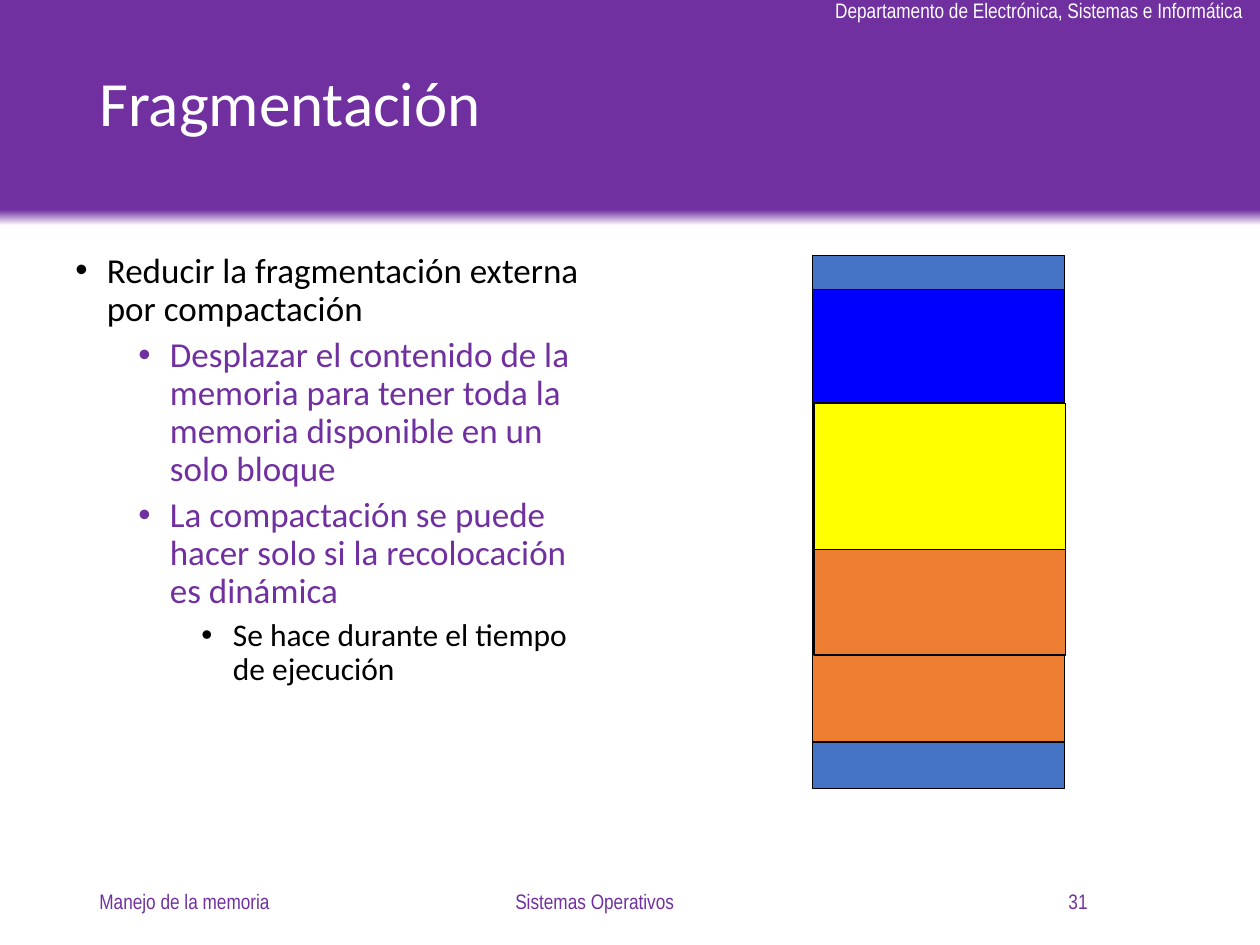
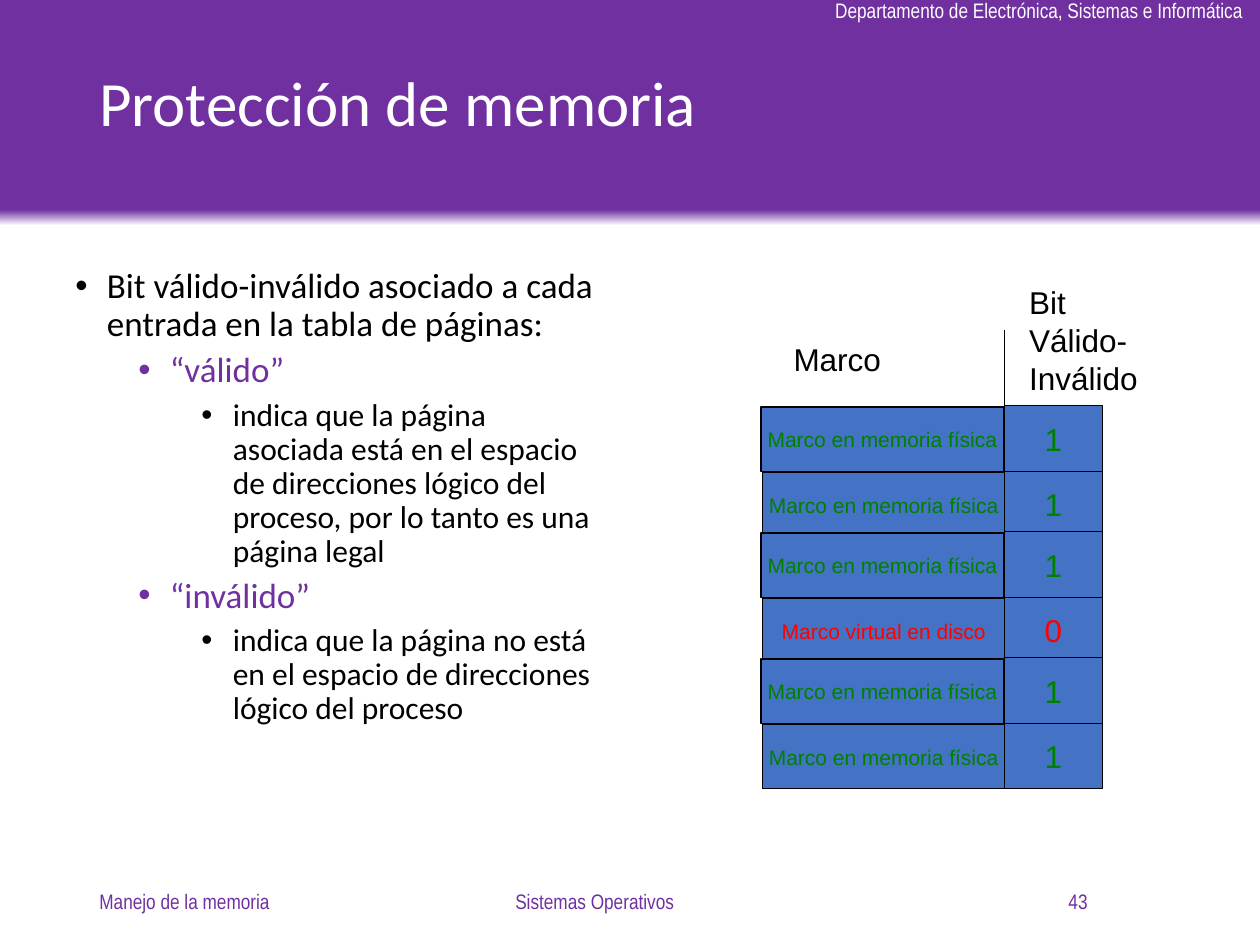
import copy

import lxml.etree
import pptx
import pptx.dml.color
import pptx.enum.shapes
import pptx.enum.text
import pptx.oxml.ns
import pptx.util

Inches = pptx.util.Inches
Pt = pptx.util.Pt
RGBColor = pptx.dml.color.RGBColor
ALIGN = pptx.enum.text.PP_ALIGN
ANCHOR = pptx.enum.text.MSO_ANCHOR
qn = pptx.oxml.ns.qn

WHITE = RGBColor(0xFF, 0xFF, 0xFF)
BLACK = RGBColor(0, 0, 0)
PURPLE = RGBColor(0x70, 0x30, 0xA0)
STEEL = RGBColor(0x44, 0x72, 0xC4)
BLUE = RGBColor(0, 0, 0xFF)
YELLOW = RGBColor(0xFF, 0xFF, 0)
ORANGE = RGBColor(0xED, 0x7D, 0x31)
GREEN = RGBColor(0, 0x80, 0)
RED = RGBColor(0xFF, 0, 0)

BODY_LEVELS = [(20, BLACK), (20, PURPLE), (18, BLACK)]


def write(paragraph, text, font="Arial", size=18, color=BLACK, align=ALIGN.LEFT,
          spacing=None, before=0, bullet_indent=None):
    if bullet_indent is not None:
        properties = paragraph._p.get_or_add_pPr()
        properties.set("marL", str(Inches(bullet_indent)))
        properties.set("indent", str(Inches(-0.25)))
        lxml.etree.SubElement(properties, qn("a:buFont"), typeface="Arial")
        lxml.etree.SubElement(properties, qn("a:buChar"), char="•")
    paragraph.alignment = align
    paragraph.space_before = Pt(before)
    if spacing:
        paragraph.line_spacing = spacing
    run = paragraph.add_run()
    run.text = text
    run.font.name = font
    run.font.size = Pt(size)
    run.font.color.rgb = color


class Deck:
    def __init__(self):
        self.presentation = pptx.Presentation()
        self.presentation.slide_width = Inches(10)
        self.presentation.slide_height = Inches(7.5)
        self.slide = None

    def start(self, title, number):
        layout = self.presentation.slide_layouts[6]
        self.slide = self.presentation.slides.add_slide(layout)
        self.band()
        narrow = {"font": "Arial Narrow", "size": 12}
        self.text(6.53, -0.07, 3.48, 0.3,
                  "Departamento de Electrónica, Sistemas e Informática",
                  wrap=False, grow=True, color=WHITE, **narrow)
        self.text(0.69, 0.15, 8.62, 1.39, title, anchor=ANCHOR.MIDDLE,
                  font="Calibri", size=36, color=WHITE, spacing=0.9)
        for left, width, footer, align in [
            (0.69, 2.25, "Manejo de la memoria", ALIGN.LEFT),
            (3.03, 3.38, "Sistemas Operativos", ALIGN.CENTER),
            (6.48, 2.25, str(number), ALIGN.RIGHT),
        ]:
            self.text(left, 6.95, width, 0.4, footer, anchor=ANCHOR.MIDDLE,
                      align=align, color=PURPLE, **narrow)

    def band(self):
        band = self.box(0, 0, 10, 1.79, PURPLE)
        band.line.fill.background()
        band.fill.gradient()
        band.fill.gradient_angle = 90
        stops = band.fill.gradient_stops
        for stop, position, color in zip(stops, (0, 0.07), (WHITE, PURPLE)):
            stop.position = position
            stop.color.rgb = color
        stop_list = band._element.spPr.find(".//" + qn("a:gsLst"))
        end = copy.deepcopy(stop_list[-1])
        end.set("pos", "100000")
        stop_list.append(end)

    def frame(self, left, top, width, height, wrap=True, grow=False,
              anchor=ANCHOR.TOP):
        holder = self.slide.shapes.add_textbox(
            Inches(left), Inches(top), Inches(width), Inches(height))
        frame = holder.text_frame
        frame.word_wrap = wrap
        frame.vertical_anchor = anchor
        if grow:
            frame.auto_size = pptx.enum.text.MSO_AUTO_SIZE.SHAPE_TO_FIT_TEXT
        return frame

    def text(self, left, top, width, height, text, wrap=True, grow=False,
             anchor=ANCHOR.TOP, **style):
        frame = self.frame(left, top, width, height, wrap, grow, anchor)
        write(frame.paragraphs[0], text, **style)

    def body(self, top, height, items):
        frame = self.frame(0.5, top, 4.34, height)
        for index, (level, text) in enumerate(items):
            paragraph = frame.add_paragraph() if index else frame.paragraphs[0]
            paragraph.level = level
            size, color = BODY_LEVELS[level]
            write(paragraph, text, font="Calibri", size=size, color=color,
                  spacing=0.9, before=5 if index else 0,
                  bullet_indent=0.25 + 0.5 * level)

    def box(self, left, top, width, height, fill, text=None, **style):
        box = self.slide.shapes.add_shape(
            pptx.enum.shapes.MSO_SHAPE.RECTANGLE,
            Inches(left), Inches(top), Inches(width), Inches(height))
        box.shadow.inherit = False
        box.fill.solid()
        box.fill.fore_color.rgb = fill
        box.line.color.rgb = BLACK
        box.line.width = Pt(0.75)
        if text:
            box.text_frame.word_wrap = False
            box.text_frame.vertical_anchor = ANCHOR.MIDDLE
            write(box.text_frame.paragraphs[0], text, align=ALIGN.CENTER, **style)
        return box

    def line(self, start_x, start_y, end_x, end_y):
        line = self.slide.shapes.add_connector(
            pptx.enum.shapes.MSO_CONNECTOR.STRAIGHT,
            Inches(start_x), Inches(start_y), Inches(end_x), Inches(end_y))
        line.line.color.rgb = BLACK
        line.line.width = Pt(0.75)
        lxml.etree.SubElement(line._element.spPr, qn("a:effectLst"))


def fragmentation(deck):
    deck.start("Fragmentación", 31)
    deck.body(1.96, 4.23, [
        (0, "Reducir la fragmentación externa por compactación"),
        (1, "Desplazar el contenido de la memoria para tener toda la memoria "
            "disponible en un solo bloque"),
        (1, "La compactación se puede hacer solo si la recolocación es dinámica"),
        (2, "Se hace durante el tiempo de ejecución"),
    ])
    for left, top, height, color in [
        (6.45, 2.03, 4.23, STEEL),
        (6.45, 2.3, 0.9, BLUE),
        (6.45, 3.64, 1.16, YELLOW),
        (6.45, 5.05, 0.84, ORANGE),
        (6.46, 3.2, 1.16, YELLOW),
        (6.46, 4.36, 0.84, ORANGE),
    ]:
        deck.box(left, top, 2, height, color)


def protection(deck):
    deck.start("Protección de memoria", 43)
    deck.body(2.08, 4.62, [
        (0, "Bit válido-inválido asociado a cada entrada en la tabla de páginas:"),
        (1, "“válido”"),
        (2, "indica que la página asociada está en el espacio de direcciones "
            "lógico del proceso, por lo tanto es una página legal"),
        (1, "“inválido”"),
        (2, "indica que la página no está en el espacio de direcciones lógico "
            "del proceso"),
    ])
    for row, valid in enumerate([1, 1, 1, 0, 1, 1]):
        pair, second = divmod(row, 2)
        top = 3.23 + pair + 0.52 * second
        place = "Marco en memoria física" if valid else "Marco virtual en disco"
        color = GREEN if valid else RED
        deck.box(6.04 + 0.01 * second, top, 1.93, 0.51, STEEL, place,
                 size=12, color=color)
        deck.box(7.97, top - 0.01, 0.78, 0.52, STEEL, str(valid), color=color)
    deck.line(7.97, 3.32, 7.97, 2.62)
    deck.text(6.2, 2.65, 0.9, 0.4, "Marco", wrap=False, grow=True)
    deck.text(8.07, 2.2, 1.28, 1, "Bit Válido-Inválido", grow=True)


def main():
    deck = Deck()
    fragmentation(deck)
    protection(deck)
    deck.presentation.save("out.pptx")


if __name__ == "__main__":
    main()
